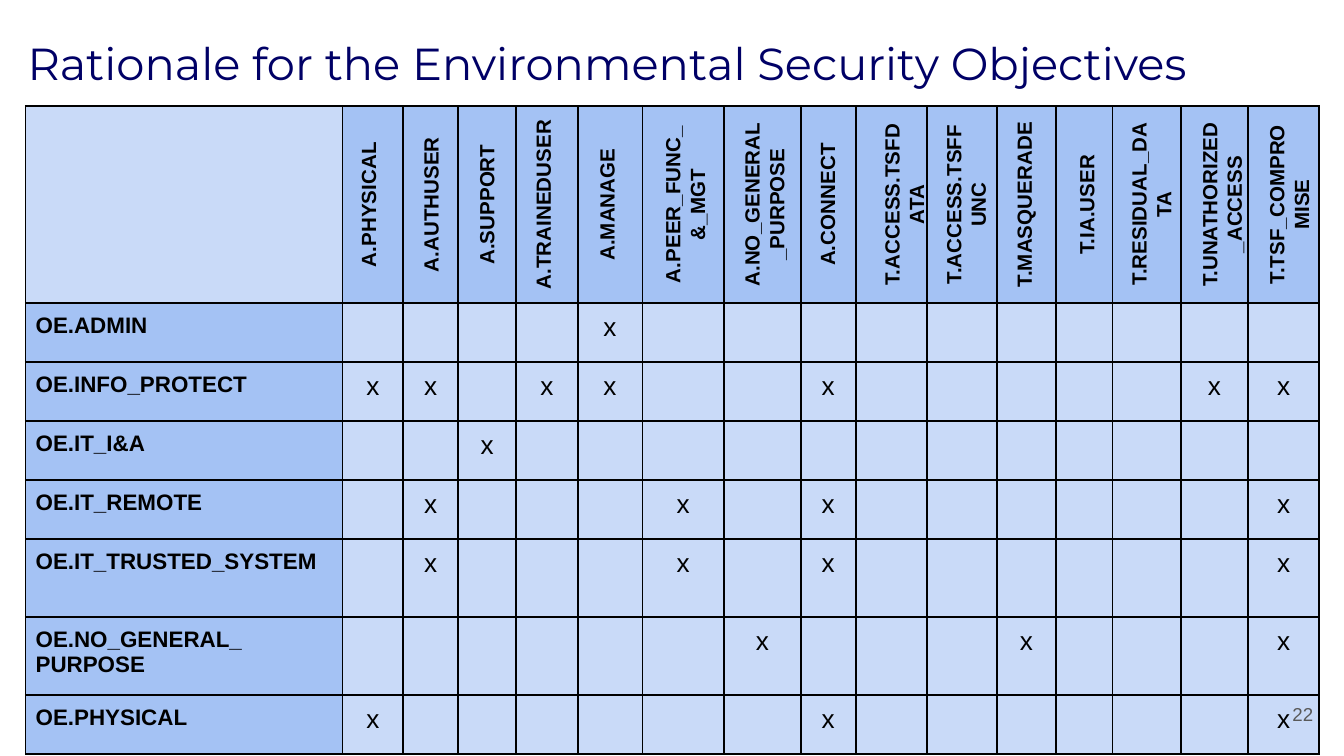
from lxml.etree import SubElement as Sub
from pptx import Presentation
from pptx.dml.color import RGBColor as RGB
from pptx.enum.text import MSO_ANCHOR as Anchor, MSO_AUTO_SIZE as Auto, PP_ALIGN as Align
from pptx.oxml.ns import qn
from pptx.util import Pt

NAVY, BLACK, GREY = "000066", "000000", "595959"
PALE, BLUE = "C9DAF8", "A4C2F4"

# Columns: width, label, label centre, label box depth
COLS = [
    (32.4, "A.PHYSICAL", 197.3, 28.1),
    (29.5, "A.AUTHUSER", 230.8, 28.1),
    (31, "A.SUPPORT", 261, 28.8),
    (33.1, "A.TRAINEDUSER", 292.7, 31.7),
    (34.6, "A.MANAGE", 328, 33.8),
    (43.9, "A.PEER_FUNC_&_MGT", 367.6, 42.5),
    (41, "A.NO_GENERAL_PURPOSE", 409.3, 41),
    (29.5, "A.CONNECT", 443.9, 29.5),
    (38.2, "T.ACCESS.TSFDATA", 480.6, 33.8),
    (37.4, "T.ACCESS.TSFFUNC", 515.9, 38.2),
    (31.7, "T.MASQUERADE", 551.5, 33.8),
    (30.2, "T.IA.USER", 582.1, 28.1),
    (36.7, "T.RESIDUAL_DATA", 611.6, 31),
    (36, "T.UNATHORIZED_ACCESS", 651.2, 34.6),
    (38.2, "T.TSF_COMPROMISE", 687.2, 34.6),
]
# Rows: height, objective, numbers of the marked columns
ROWS = [
    (31.6, "OE.ADMIN", {5}),
    (31.6, "OE.INFO_PROTECT", {1, 2, 4, 5, 8, 14, 15}),
    (31.6, "OE.IT_I&A", {3}),
    (31.6, "OE.IT_REMOTE", {2, 6, 8, 15}),
    (41.8, "OE.IT_TRUSTED_SYSTEM", {2, 6, 8, 15}),
    (41.8, "OE.NO_GENERAL_ PURPOSE", {7, 11, 15}),
    (31.6, "OE.PHYSICAL", {1, 8, 15}),
]
LEFT, TOP, SIDE, HEAD = 13.7, 56.8, 169.9, 105.6


def color(code):
    return RGB.from_string(code)


def write(frame, text, size=12, font="Arial", ink=BLACK, bold=False, align=Align.LEFT):
    para = frame.paragraphs[0]
    para.alignment = align
    run = para.add_run()
    run.text = text
    run.font.size, run.font.name, run.font.bold = Pt(size), font, bold
    run.font.color.rgb = color(ink)


class Deck:
    def __init__(self):
        self.prs = Presentation()
        self.prs.slide_width, self.prs.slide_height = Pt(720), Pt(405)
        self.slide = self.prs.slides.add_slide(self.prs.slide_layouts[6])

    def text(self, x, y, w, h, text, pad=(7.2, 7.2), turn=0,
             anchor=Anchor.TOP, fit=Auto.NONE, **style):
        box = self.slide.shapes.add_textbox(Pt(x), Pt(y), Pt(w), Pt(h))
        box.rotation = turn
        frame = box.text_frame
        frame.word_wrap, frame.auto_size = True, fit
        frame.vertical_anchor = anchor
        frame.margin_left = frame.margin_right = Pt(pad[0])
        frame.margin_top = frame.margin_bottom = Pt(pad[1])
        write(frame, text, **style)

    def cell(self, cell, fill, text="", **style):
        cell.margin_left = cell.margin_right = Pt(5.4)
        cell.margin_top = cell.margin_bottom = Pt(5.4 if text else 2)
        props = cell._tc.get_or_add_tcPr()
        for side in ("a:lnL", "a:lnR", "a:lnT", "a:lnB"):
            line = Sub(props, qn(side), w=str(Pt(1)))
            Sub(Sub(line, qn("a:solidFill")), qn("a:srgbClr"), val=BLACK)
        cell.fill.solid()
        cell.fill.fore_color.rgb = color(fill)
        if text:
            write(cell.text_frame, text, **style)

    def table(self, x, y, wide, high):
        frame = self.slide.shapes.add_table(
            len(high), len(wide), Pt(x), Pt(y), Pt(sum(wide)), Pt(sum(high)))
        grid = frame.table
        grid.first_row = grid.horz_banding = False
        for col, size in zip(grid.columns, wide):
            col.width = Pt(size)
        for row, size in zip(grid.rows, high):
            row.height = Pt(size)
        return grid


def main():
    deck = Deck()

    # Title
    deck.text(9.4, 16.6, 701.3, 34.6, "Rationale for the Environmental Security Objectives",
              pad=(5.4, 2.7), fit=Auto.SHAPE_TO_FIT_TEXT, size=24, font="Montserrat", ink=NAVY)

    # Matrix of objectives and marks
    grid = deck.table(LEFT, TOP, [SIDE] + [col[0] for col in COLS],
                      [HEAD] + [row[0] for row in ROWS])
    deck.cell(grid.cell(0, 0), PALE)
    for c in range(1, len(COLS) + 1):
        deck.cell(grid.cell(0, c), BLUE)
    for r, (_, name, marks) in enumerate(ROWS, 1):
        deck.cell(grid.cell(r, 0), BLUE, name, bold=True)
        for c in range(1, len(COLS) + 1):
            deck.cell(grid.cell(r, c), PALE, "x" if c in marks else "",
                      size=14, align=Align.CENTER)

    # Upright column labels
    for _, name, mid, deep in COLS:
        deck.text(mid - HEAD / 2, TOP + (HEAD - deep) / 2, HEAD, deep, name, turn=270,
                  size=11, bold=True, align=Align.CENTER)

    # Page number
    deck.text(667.4, 367.2, 43.2, 31, "22", anchor=Anchor.MIDDLE,
              size=10, ink=GREY, align=Align.RIGHT)

    deck.prs.save("out.pptx")


if __name__ == "__main__":
    main()
